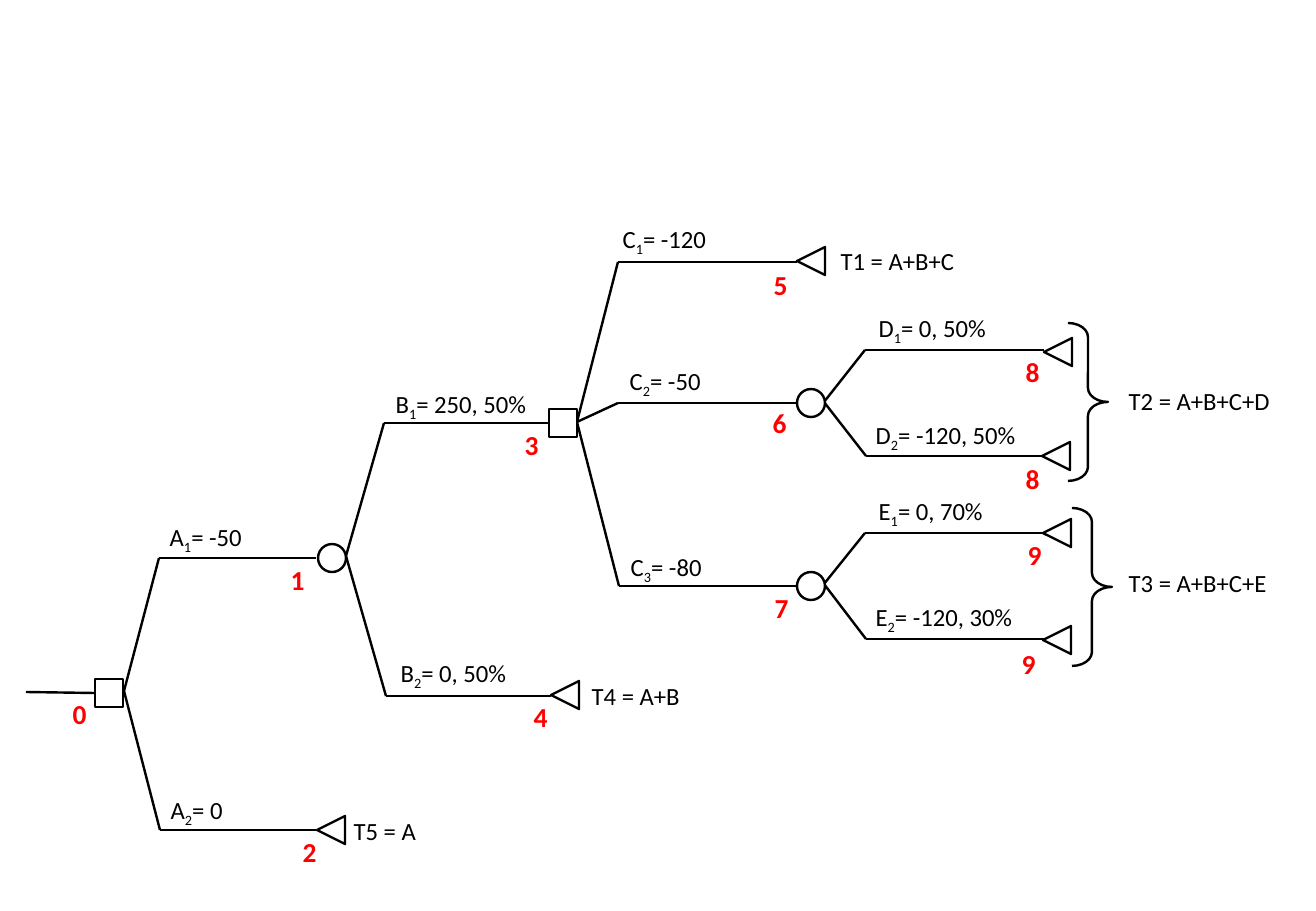
from pptx import Presentation
from pptx.dml.color import RGBColor
from pptx.enum.shapes import MSO_CONNECTOR, MSO_SHAPE as SHAPE
from pptx.enum.text import MSO_AUTO_SIZE as AUTO_SIZE
from pptx.oxml.ns import qn
from pptx.util import Pt
from lxml.etree import SubElement

EMU_PER_PX = 914400 / 98.7
BLACK = RGBColor(0x00, 0x00, 0x00)
WHITE = RGBColor(0xFF, 0xFF, 0xFF)
RED = RGBColor(0xFF, 0x00, 0x00)
FONT = "Calibri"
LINE_WIDTH = Pt(1.75)
NODE = 28

# fork point, then for each branch: bend x, level y, end x
FORKS = [
    ((124, 691), [(159, 558, 316), (160, 830, 316)]),
    ((346, 556), [(384, 423, 551), (386, 696, 551)]),
    ((577, 422), [(618, 262, 797), (618, 403, 797), (619, 586, 797)]),
    ((824, 402), [(865, 350, 1044), (866, 456, 1044)]),
    ((824, 584), [(865, 533, 1044), (866, 639, 1044)]),
]
# left and top of the nodes of each kind
NODES = {
    SHAPE.RECTANGLE: [(95, 679), (549, 409)],
    SHAPE.OVAL: [(318, 544), (797, 389), (797, 572)],
    SHAPE.ISOSCELES_TRIANGLE: [
        (317, 816), (551, 681), (797, 247), (1044, 338),
        (1042, 442), (1043, 519), (1043, 626)],
}
# left, top, width, letter, subscript, value
BRANCH_LABELS = [
    (160, 517, 94, "A", "1", "= -50"),
    (161, 790, 74, "A", "2", "= 0"),
    (386, 384, 153, "B", "1", "= 250, 50%"),
    (391, 653, 127, "B", "2", "= 0, 50%"),
    (613, 219, 106, "C", "1", "= -120"),
    (620, 361, 93, "C", "2", "= -50"),
    (621, 547, 93, "C", "3", "= -80"),
    (869, 308, 129, "D", "1", "= 0, 50%"),
    (866, 415, 163, "D", "2", "= -120, 50%"),
    (869, 491, 126, "E", "1", "= 0, 70%"),
    (866, 597, 159, "E", "2", "= -120, 30%"),
]
PAYOFFS = [
    (831, 241, 134, "T1 = A+B+C"),
    (1119, 381, 163, "T2 = A+B+C+D"),
    (1119, 563, 163, "T3 = A+B+C+E"),
    (582, 676, 109, "T4 = A+B"),
    (344, 811, 106, "T5 = A"),
]
NODE_NUMBERS = [
    (63, 692, "0"), (281, 558, "1"), (293, 830, "2"), (515, 423, "3"),
    (524, 695, "4"), (764, 263, "5"), (763, 401, "6"), (765, 586, "7"),
    (1016, 350, "8"), (1016, 457, "8"), (1018, 533, "9"), (1012, 642, "9"),
]
BRACES = [(1068, 323), (1072, 508)]


def px(*lengths):
    """Turn pixels into a list of EMU lengths."""
    return [round(n * EMU_PER_PX) for n in lengths]


def add_line(s, start, end):
    """Draw a straight black line between two points."""
    line = s.shapes.add_connector(MSO_CONNECTOR.STRAIGHT, *px(*start, *end))
    line.line.color.rgb = BLACK
    line.line.width = LINE_WIDTH
    SubElement(line._element.spPr, qn("a:effectLst"))


def add_fork(s, fork, branches):
    """Draw the slanted and level line of every branch of a fork."""
    for bend, level, end in branches:
        add_line(s, fork, (bend, level))
        add_line(s, (bend, level), (end, level))


def add_outline(s, kind, left, top, width, height):
    """Add a preset shape with a black outline."""
    sp = s.shapes.add_shape(kind, *px(left, top, width, height))
    sp.shadow.inherit = False
    sp.line.color.rgb = BLACK
    sp.line.width = LINE_WIDTH
    return sp


def add_node(s, kind, left, top):
    """Add a white node; end-point triangles point left."""
    sp = add_outline(s, kind, left, top, NODE, NODE)
    sp.fill.solid()
    sp.fill.fore_color.rgb = WHITE
    if kind == SHAPE.ISOSCELES_TRIANGLE:
        sp.rotation = 270


def add_brace(s, left, top):
    """Add a right brace that joins two end points."""
    sp = add_outline(s, SHAPE.RIGHT_BRACE, left, top, 40, 158)
    sp.fill.background()
    sp.adjustments[0] = 0.35
    sp.adjustments[1] = 0.5


def add_text(s, box, parts, size=18, color=BLACK, bold=False):
    """Add one line of text; every second part is a subscript."""
    tb = s.shapes.add_textbox(*px(*box))
    tf = tb.text_frame
    tf.word_wrap = False
    tf.auto_size = AUTO_SIZE.SHAPE_TO_FIT_TEXT
    p = tf.paragraphs[0]
    for i, part in enumerate(parts):
        r = p.add_run()
        r.text = part
        r.font.name = FONT
        r.font.size = Pt(size)
        r.font.bold = bold
        r.font.color.rgb = color
        if i % 2:
            r.font._element.set("baseline", "-25000")


def main():
    """Build the decision tree slide."""
    prs = Presentation()
    prs.slide_width, prs.slide_height = px(1316, 911)
    s = prs.slides.add_slide(prs.slide_layouts[6])

    add_line(s, (26, 692), (95, 693))
    for fork, branches in FORKS:
        add_fork(s, fork, branches)
    for kind, places in NODES.items():
        for left, top in places:
            add_node(s, kind, left, top)
    for left, top in BRACES:
        add_brace(s, left, top)

    for left, top, width, *parts in BRANCH_LABELS + PAYOFFS:
        add_text(s, (left, top, width, 40), parts)
    for left, top, number in NODE_NUMBERS:
        add_text(s, (left, top, 34, 43), [number], 20, RED, True)

    prs.save("out.pptx")


main()
